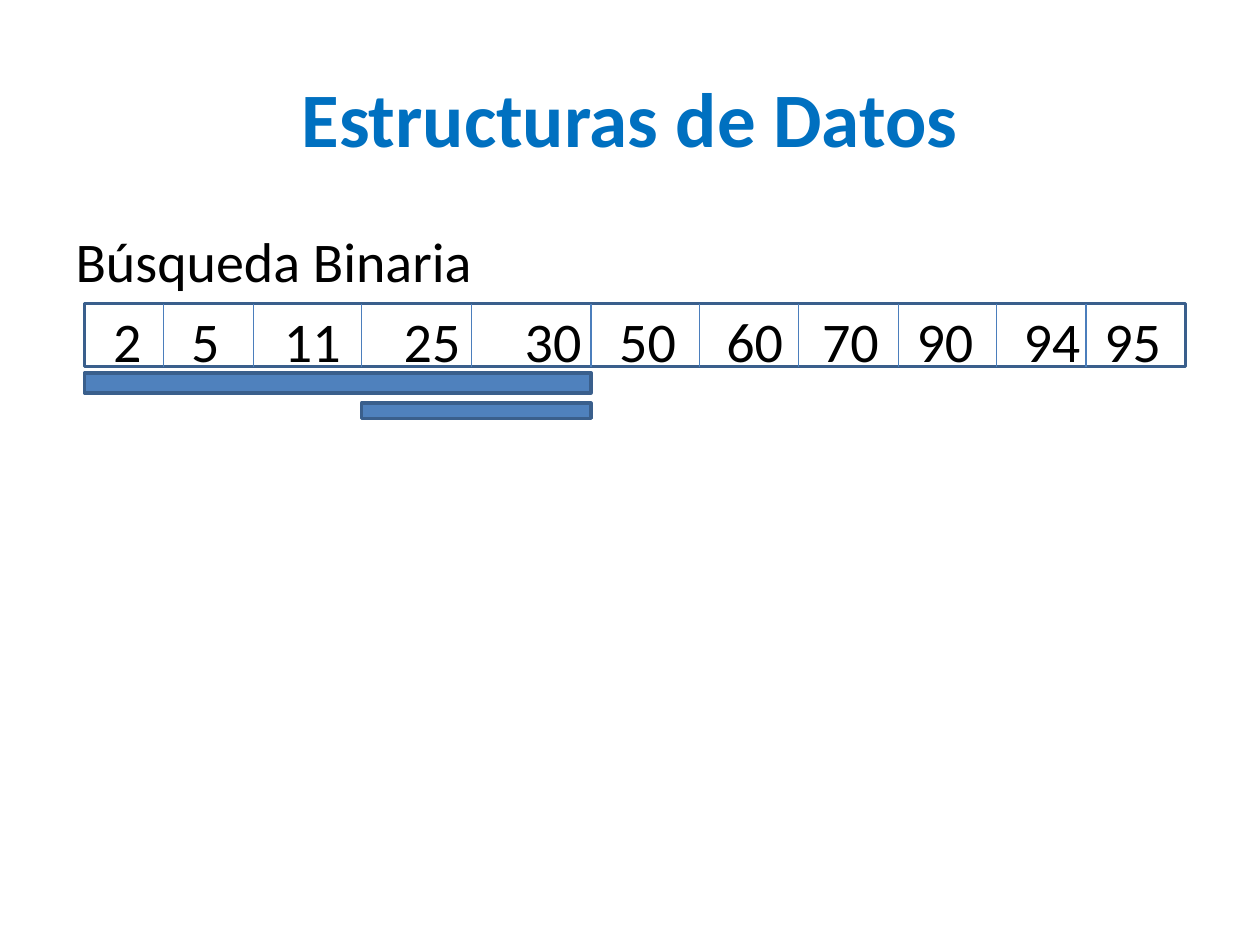
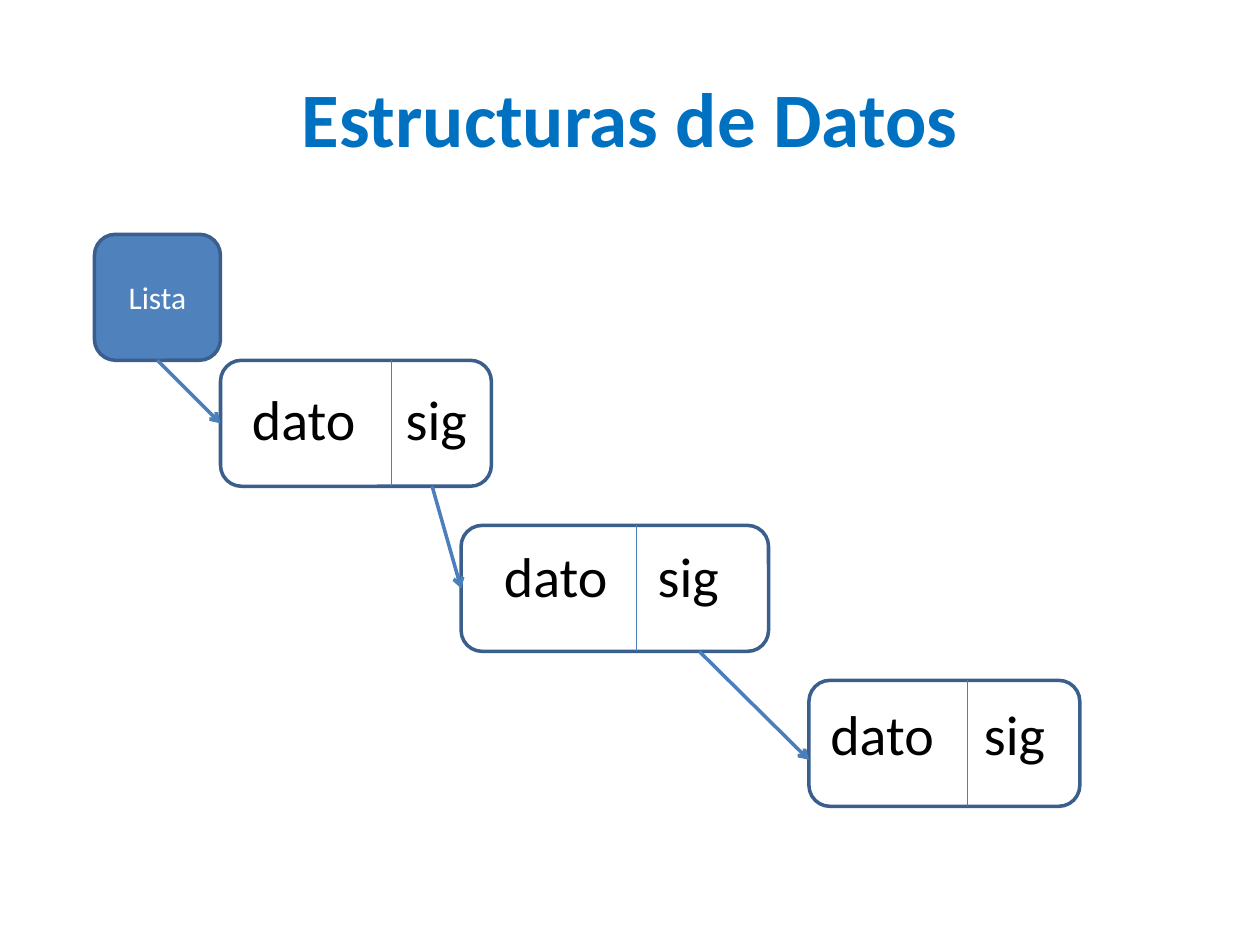
from lxml import etree
from pptx import Presentation
from pptx.dml.color import RGBColor
from pptx.enum.shapes import MSO_CONNECTOR, MSO_SHAPE
from pptx.enum.text import MSO_ANCHOR, PP_ALIGN
from pptx.oxml.ns import qn
from pptx.util import Pt

PX = 9144
RECT, ROUND = MSO_SHAPE.RECTANGLE, MSO_SHAPE.ROUNDED_RECTANGLE
STRAIGHT = MSO_CONNECTOR.STRAIGHT
LEFT, CENTER = PP_ALIGN.LEFT, PP_ALIGN.CENTER
TOP, MIDDLE = MSO_ANCHOR.TOP, MSO_ANCHOR.MIDDLE
FONT = "Calibri"
COLORS = {
    "title": "0070C0",
    "text": "000000",
    "light": "FFFFFF",
    "fill": "4F81BD",
    "border": "3A5F8C",
    "line": "4B7EBC",
}


def text(sp, value, size=32, color="text", bold=False, align=LEFT, anchor=TOP):
    tf = sp.text_frame
    tf.word_wrap = True
    tf.vertical_anchor = anchor
    tf.margin_left = tf.margin_right = tf.margin_top = tf.margin_bottom = 0
    p = tf.paragraphs[0]
    p.alignment = align
    r = p.add_run()
    r.text = value
    r.font.name = FONT
    r.font.size = Pt(size)
    r.font.bold = bold
    r.font.color.rgb = RGBColor.from_string(COLORS[color])


def line(s, x1, y1, x2, y2, width=0.75, arrow=False):
    c = s.shapes.add_connector(STRAIGHT, x1 * PX, y1 * PX, x2 * PX, y2 * PX)
    c.line.width = Pt(width)
    c.line.color.rgb = RGBColor.from_string(COLORS["line"])
    if arrow:
        ln = c.line._get_or_add_ln()
        etree.SubElement(ln, qn("a:tailEnd"), type="arrow")
    etree.SubElement(c._element.spPr, qn("a:effectLst"))
    return c


prs = Presentation()
prs.slide_width, prs.slide_height = 1000 * PX, 750 * PX
search, linked = [prs.slides.add_slide(prs.slide_layouts[6]) for _ in range(2)]

for s in (search, linked):
    sp = s.shapes.add_textbox(50 * PX, 30 * PX, 900 * PX, 125 * PX)
    text(sp, "Estructuras de Datos", 44, "title", True, CENTER, MIDDLE)

boxes = []
for s, kind, x, y, w, h, filled in [
    (search, RECT, 67, 241, 874, 50, False),
    (search, RECT, 67, 296, 402, 16, True),
    (search, RECT, 287, 320, 182, 12, True),
    (linked, ROUND, 75, 186, 100, 100, True),
    (linked, ROUND, 175, 286, 215, 100, False),
    (linked, ROUND, 366, 417, 244, 100, False),
    (linked, ROUND, 642, 540, 215, 100, False),
]:
    sp = s.shapes.add_shape(kind, x * PX, y * PX, w * PX, h * PX)
    sp.shadow.inherit = False
    if filled:
        sp.fill.solid()
        sp.fill.fore_color.rgb = RGBColor.from_string(COLORS["fill"])
    else:
        sp.fill.background()
    sp.line.width = Pt(2)
    sp.line.color.rgb = RGBColor.from_string(COLORS["border"])
    boxes.append(sp)
head, node1, node2, node3 = boxes[3:]

sp = search.shapes.add_textbox(60 * PX, 180 * PX, 880 * PX, 55 * PX)
text(sp, "Búsqueda Binaria")

for x in (130, 201, 287, 374, 469, 555, 634, 713, 791, 862):
    line(search, x, 241, x, 291)

for value, x in [
    (2, 101), (5, 163), (11, 248), (25, 343), (30, 439), (50, 514),
    (60, 599), (70, 675), (90, 750), (94, 835), (95, 899),
]:
    sp = search.shapes.add_textbox((x - 30) * PX, 243 * PX, 60 * PX, 54 * PX)
    text(sp, str(value), align=CENTER)

text(head, "Lista", 18, "light", align=CENTER, anchor=MIDDLE)

for x, y, divider, node_top in [
    (200, 305, 311, 286),
    (400, 430, 505, 417),
    (659, 555, 768, 540),
]:
    line(linked, divider, node_top, divider, node_top + 100)
    for value, left in (("dato", x), ("sig", x + 122)):
        sp = linked.shapes.add_textbox(left * PX, y * PX, 100 * PX, 54 * PX)
        text(sp, value)

c = line(linked, 125, 286, 175, 336, 2, True)
c.begin_connect(head, 2)
c.end_connect(node1, 1)
c = line(linked, 343, 386, 366, 467, 2, True)
c.end_connect(node2, 1)
line(linked, 555, 517, 642, 603, 2, True)

prs.save("out.pptx")
